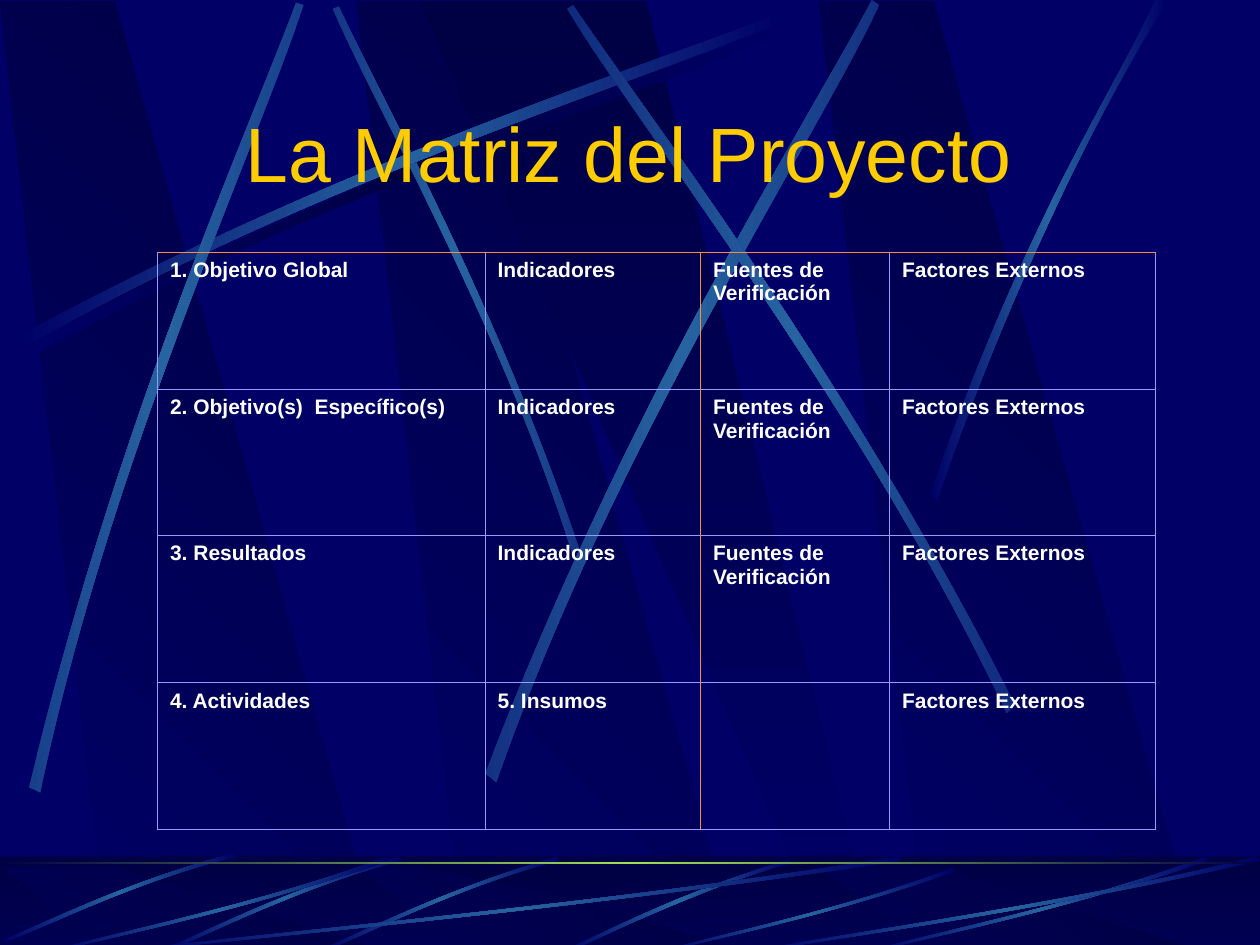
"""Build the project matrix slide over a backdrop of dark bands and blue strands."""
import dataclasses
import typing

import lxml.etree
import pptx
import pptx.dml.color
import pptx.enum.shapes
import pptx.enum.text
import pptx.oxml
import pptx.oxml.ns
import pptx.util

Point = tuple[float, float]
NAVY, DARK, BLUE, GREEN = "000066", "000044", "2663A0", "9CE157"
ORANGE, LAVENDER, YELLOW, WHITE = "F98D43", "9999FF", "FFCC00", "FFFFFF"


@dataclasses.dataclass(frozen=True)
class Gradient:
    colors: tuple[str, ...]
    angle: int


@dataclasses.dataclass(frozen=True)
class Strand:
    points: tuple[Point, ...]
    tip: float = 0
    core: str = BLUE

    def shifted(self, dx: float, dy: float = 0, core: str = BLUE) -> "Strand":
        points = tuple((x + dx, y + dy) for x, y in self.points)
        return dataclasses.replace(self, points=points, core=core)


@dataclasses.dataclass(frozen=True)
class Sweep:
    left: float
    width: float
    top: float = 6.8
    height: float = 0.75


BAND_FADE = Gradient((DARK, NAVY), 135)
DOWN_FADE = Gradient((DARK, NAVY), 90)
BAND_LEFTS = (2.83, 0, 6.5)
SWEEP_OUTLINE = ((1, 0.04), (0.57, 0.57), (0.17, 0.85), (0.01, 1),
                 (0, 0.99), (0.17, 0.81), (0.61, 0.51), (0.99, 0))
SWEEPS = (Sweep(1, 6.17), Sweep(0.42, 2.67), Sweep(5.27, 2.31, 6.89, 0.66),
          Sweep(6.92, 2.67), Sweep(6, 4))
CROSSING = Strand(((0.14, 2.67), (2.78, 1.25), (5.18, 0.51), (6.2, 0.1),
                   (6.23, 0.16), (5.22, 0.61), (2.48, 1.43), (0.17, 2.77)))
UPPER_STRANDS = (
    CROSSING.shifted(0.06, 0.08, DARK),
    Strand(((4.6, 4.36), (3.91, 2.34), (3.02, 0.77), (2.69, 0.05),
            (2.64, 0.07), (2.95, 0.79), (3.98, 2.58), (4.54, 4.39)), 0.56),
    CROSSING,
    Strand(((0.23, 6.25), (0.93, 3.34), (1.97, 1.05), (2.35, 0.02),
            (2.41, 0.04), (2.07, 1.08), (0.86, 3.68), (0.32, 6.29)), 0.64),
    Strand(((3.85, 6.14), (4.98, 3.2), (6.38, 1.02), (6.92, 0),
            (6.98, 0.04), (6.49, 1.08), (4.86, 3.55), (3.94, 6.21)), 0.49),
    Strand(((8.06, 5.6), (6.7, 2.93), (5.16, 0.95), (4.55, 0.04),
            (4.5, 0.07), (5.07, 1.01), (6.85, 3.25), (7.99, 5.66)), 0.42),
    Strand(((7.38, 3.93), (8.14, 1.73), (8.88, 0.66), (9.17, 0),
            (9.27, 0), (8.36, 1.45), (7.69, 3.22), (7.44, 3.97))),
)
SHORT = Strand(((4.42, 6.8), (3.55, 7.05), (2.87, 7.4), (2.56, 7.53),
                (2.57, 7.55), (2.88, 7.43), (3.65, 7.03), (4.44, 6.83)))
LOWER_STRANDS = (
    Strand(((6.27, 6.82), (5.37, 7.09), (4.77, 7.42), (4.48, 7.54),
            (4.53, 7.55), (4.9, 7.37), (5.71, 7), (6.28, 6.85))),
    SHORT,
    SHORT.shifted(-1.25),
    Strand(((1.86, 6.77), (0.99, 7), (0.33, 7.34), (0.02, 7.46),
            (0.03, 7.48), (0.34, 7.37), (1.1, 6.98), (1.88, 6.8))),
)
COLUMNS = (2.6, 1.71, 1.5, 2.11)
ROWS = (1.09, 1.16, 1.17, 1.16)
CHECKS = ("Indicadores", "Fuentes de Verificación", "Factores Externos")
MATRIX = (
    ("1. Objetivo Global", *CHECKS),
    ("2. Objetivo(s)  Específico(s)", *CHECKS),
    ("3. Resultados", *CHECKS),
    ("4. Actividades", "5. Insumos", "", "Factores Externos"),
)
TITLE_FONT = {"name": "Arial", "size": pptx.util.Pt(44), "bold": False}
CELL_FONT = {"name": "Arial", "size": pptx.util.Pt(12), "bold": True}


def length(inches: float) -> pptx.util.Length:
    return pptx.util.Cm(2.54 * inches)


def rgb(color: str) -> pptx.dml.color.RGBColor:
    return pptx.dml.color.RGBColor.from_string(color)


def mix(start: str, end: str, share: float) -> str:
    pairs = ((int(start[i:i + 2], 16), int(end[i:i + 2], 16)) for i in (0, 2, 4))
    return "".join(f"{round(a + (b - a) * share):02X}" for a, b in pairs)


def paint(sp: typing.Any, gradient: Gradient) -> None:
    sp.shadow.inherit = False
    sp.line.fill.background()
    sp.fill.solid()
    step = 100000 // (len(gradient.colors) - 1)
    stops = "".join(f'<a:gs pos="{i * step}"><a:srgbClr val="{c}"/></a:gs>'
                    for i, c in enumerate(gradient.colors))
    xml = (f'<a:gradFill {pptx.oxml.ns.nsdecls("a")}><a:gsLst>{stops}</a:gsLst>'
           f'<a:lin ang="{gradient.angle * 60000}" scaled="0"/></a:gradFill>')
    solid = sp._element.spPr.find(pptx.oxml.ns.qn("a:solidFill"))
    solid.getparent().replace(solid, pptx.oxml.parse_xml(xml))


def add_outline(s: typing.Any, points: typing.Sequence[Point], gradient: Gradient) -> typing.Any:
    start, *rest = [(length(x), length(y)) for x, y in points]
    builder = s.shapes.build_freeform(*start)
    builder.add_line_segments(rest, close=True)
    sp = builder.convert_to_shape()
    paint(sp, gradient)
    return sp


def bend(sp: typing.Any) -> None:
    lines = sp._element.spPr.findall(".//" + pptx.oxml.ns.qn("a:lnTo"))
    for first in (0, 4):
        curve = lxml.etree.Element(pptx.oxml.ns.qn("a:cubicBezTo"))
        lines[first].addprevious(curve)
        for line in lines[first:first + 3]:
            curve.append(line[0])
            line.getparent().remove(line)


def add_strand(s: typing.Any, strand: Strand) -> None:
    end = mix(NAVY, strand.core, strand.tip)
    bend(add_outline(s, strand.points, Gradient((end, strand.core, end), 180)))


def add_sweep(s: typing.Any, sweep: Sweep) -> None:
    add_strand(s, Strand(tuple((sweep.left + x * sweep.width, sweep.top + y * sweep.height)
                               for x, y in SWEEP_OUTLINE)))


def add_bands(s: typing.Any, top: float, bottom: float) -> None:
    for left in BAND_LEFTS:
        add_outline(s, [(left + 0.86, bottom), (left + 3.02, bottom),
                        (left + 0.91, top), (left, top)], BAND_FADE)
    add_outline(s, [(3.33, top), (6.58, bottom), (6.94, bottom), (5.13, top)], DOWN_FADE)


def add_bar(s: typing.Any, top: float, height: float, gradient: Gradient) -> typing.Any:
    sp = s.shapes.add_shape(pptx.enum.shapes.MSO_SHAPE.RECTANGLE, 0, length(top),
                            length(10), length(height))
    paint(sp, gradient)
    return sp


def add_veil(s: typing.Any) -> None:
    sp = add_bar(s, 6.79, 0.75, Gradient((DARK, DARK), 90))
    sp.fill.solid()
    sp.fill.fore_color.rgb = rgb(DARK)
    color = sp._element.spPr.find(".//" + pptx.oxml.ns.qn("a:srgbClr"))
    lxml.etree.SubElement(color, pptx.oxml.ns.qn("a:alpha"), val="50000")


def write(tf: typing.Any, text: str, font: dict[str, typing.Any], color: str) -> typing.Any:
    tf.word_wrap = True
    p = tf.paragraphs[0]
    r = p.add_run()
    r.text = text
    for name, value in font.items():
        setattr(r.font, name, value)
    r.font.color.rgb = rgb(color)
    return p


def add_title(s: typing.Any) -> None:
    tf = s.shapes.add_textbox(*map(length, (0.08, 0.82, 9.83, 0.77))).text_frame
    tf.vertical_anchor = pptx.enum.text.MSO_ANCHOR.MIDDLE
    p = write(tf, "La Matriz del Proyecto", TITLE_FONT, YELLOW)
    p.alignment = pptx.enum.text.PP_ALIGN.CENTER


def set_borders(cell: typing.Any, colors: dict[str, str]) -> None:
    tc_pr = cell._tc.get_or_add_tcPr()
    for i, (side, color) in enumerate(colors.items()):
        tc_pr.insert(i, pptx.oxml.parse_xml(
            f'<a:{side} {pptx.oxml.ns.nsdecls("a")} w="5715"><a:solidFill>'
            f'<a:srgbClr val="{color}"/></a:solidFill></a:{side}>'))


def add_matrix(s: typing.Any) -> None:
    table = s.shapes.add_table(len(ROWS), len(COLUMNS), length(1.25), length(2),
                               length(sum(COLUMNS)), length(sum(ROWS))).table
    table.first_row = table.horz_banding = False
    for column, width in zip(table.columns, COLUMNS):
        column.width = length(width)
    for i, (row, height) in enumerate(zip(table.rows, ROWS)):
        row.height = length(height)
        for j, (cell, text) in enumerate(zip(row.cells, MATRIX[i])):
            cell.fill.background()
            set_borders(cell, {"lnL": ORANGE if j == 2 else LAVENDER,
                               "lnR": ORANGE if j == 1 else LAVENDER,
                               "lnT": ORANGE if i == 0 else LAVENDER, "lnB": LAVENDER})
            if text:
                write(cell.text_frame, text, CELL_FONT, WHITE).space_before = pptx.util.Pt(3)


def main() -> None:
    prs = pptx.Presentation()
    prs.slide_width, prs.slide_height = length(10), length(7.5)
    s = prs.slides.add_slide(prs.slide_layouts[6])
    s.background.fill.solid()
    s.background.fill.fore_color.rgb = rgb(NAVY)
    add_bands(s, 0.01, 7.52)
    for strand in UPPER_STRANDS:
        add_strand(s, strand)
    add_bar(s, 6.8, 0.75, DOWN_FADE)
    add_bands(s, 6.88, 7.54)
    add_veil(s)
    for strand in LOWER_STRANDS:
        add_strand(s, strand)
    for sweep in SWEEPS:
        add_sweep(s, sweep)
    add_bar(s, 6.84, 0.02, Gradient((DARK, GREEN, DARK), 180))
    add_title(s)
    add_matrix(s)
    prs.save("out.pptx")


if __name__ == "__main__":
    main()
